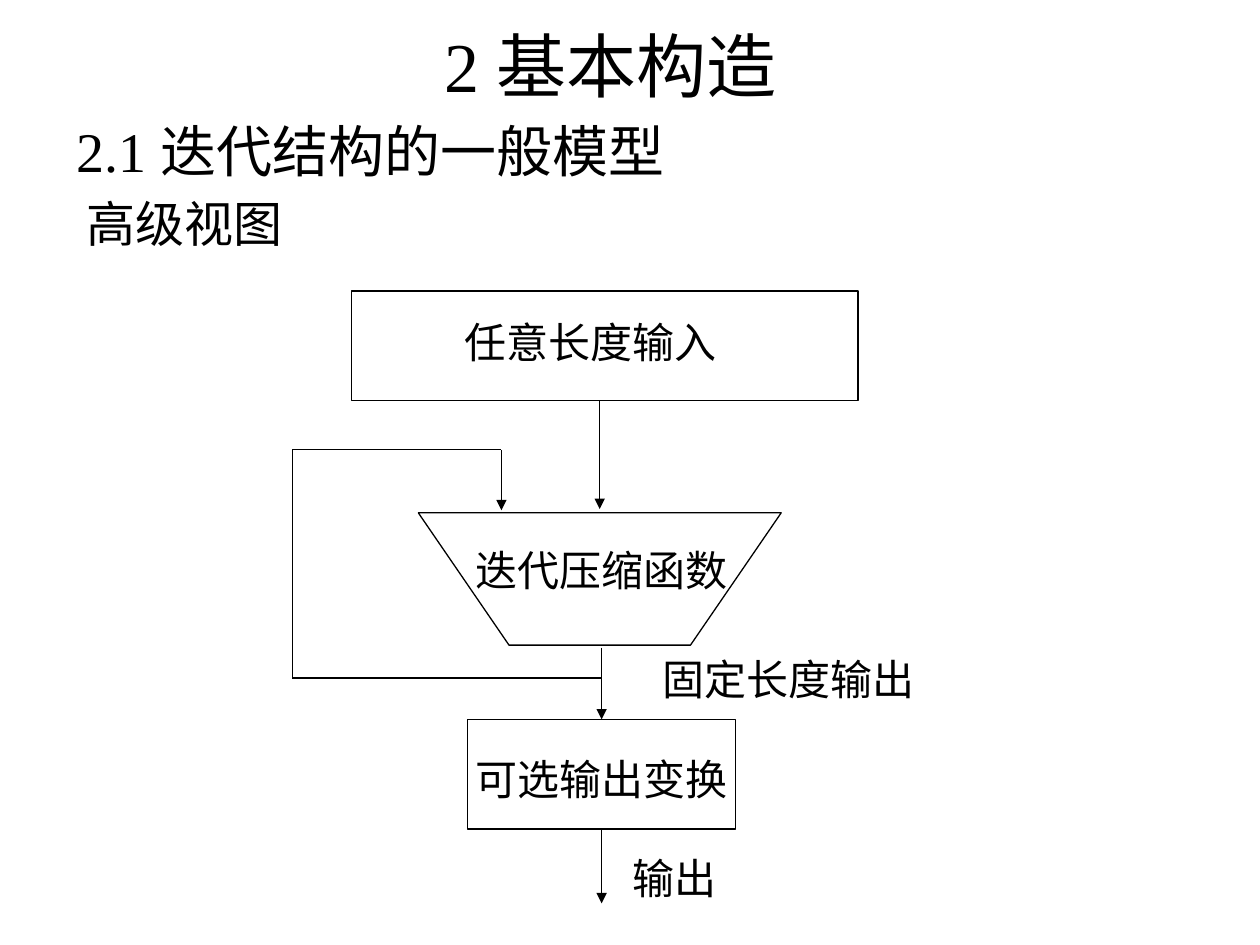
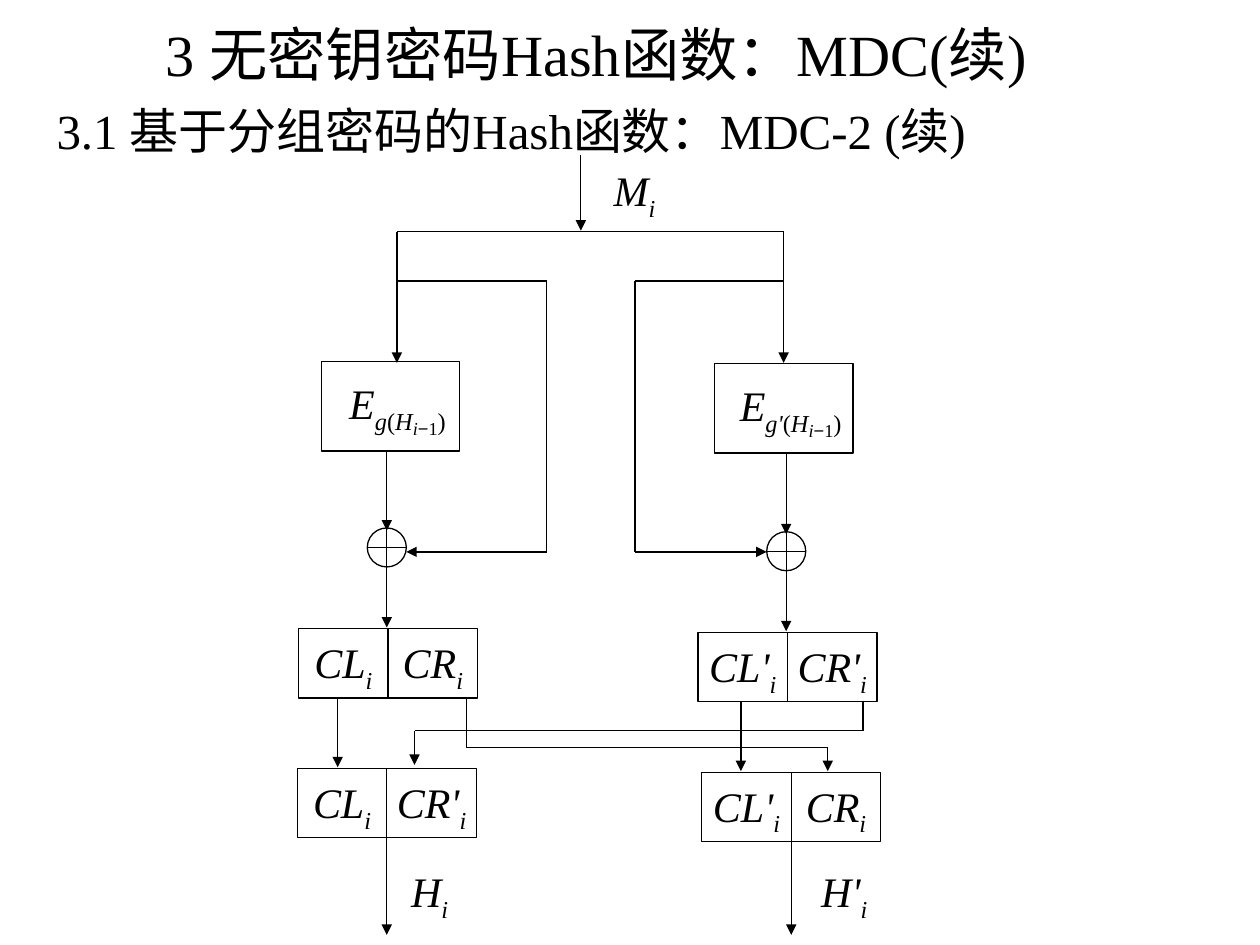
import dataclasses

import lxml.etree
import pptx
import pptx.dml.color
import pptx.enum.shapes
import pptx.enum.text
import pptx.oxml.ns
import pptx.util

SHAPES = pptx.enum.shapes.MSO_SHAPE
ANCHOR = pptx.enum.text.MSO_ANCHOR
ALIGN = pptx.enum.text.PP_ALIGN

# The page is a grid of 100 columns by 75 rows of square cells.
COLUMNS, ROWS = 100, 75
CELL = pptx.util.Inches(0.1)


@dataclasses.dataclass(frozen=True)
class Theme:
    ink: pptx.dml.color.RGBColor = pptx.dml.color.RGBColor(0, 0, 0)
    paper: pptx.dml.color.RGBColor = pptx.dml.color.RGBColor(255, 255, 255)
    font: str = "Times New Roman"
    symbol_font: str = "Arial"
    line: float = 0.75
    title: float = 40
    long_title: float = 33.3
    heading: float = 32
    subheading: float = 28
    label: float = 24
    index: float = 18


THEME = Theme()


@dataclasses.dataclass(frozen=True)
class Box:
    """A region of the page, measured in cells."""
    left: float
    top: float
    width: float
    height: float

    def inner(self, left, top, width, height):
        return Box(self.left + left, self.top + top, width, height)

    def point(self, column, row):
        return cells(self.left + column), cells(self.top + row)

    def frame(self):
        return [cells(n) for n in (self.left, self.top, self.width, self.height)]


@dataclasses.dataclass(frozen=True)
class Lane:
    """Half of MDC-2; columns are relative to the lane's box."""
    box: Box
    prime: str
    feed: float
    cipher: float
    bypass: float
    lower: float
    straight: float
    result: float
    drop: float = 0


def cells(count):
    return round(count * CELL)


# Text
def style_run(span, size, italic=False, baseline=0, font=THEME.font):
    span.font.name = font
    span.font.size = pptx.util.Pt(size)
    span.font.italic = italic
    span.font.color.rgb = THEME.ink
    if baseline:
        span.font._element.set("baseline", str(baseline * 1000))


def add_text(page, box, text, size, anchor=ANCHOR.TOP):
    frame = page.shapes.add_textbox(*box.frame()).text_frame
    frame.word_wrap = True
    frame.vertical_anchor = anchor
    para = frame.paragraphs[0]
    para.text = text
    for span in para.runs:
        style_run(span, size)
    return para


def add_formula(page, box, *parts):
    """One centred line; each part is its text and the options of style_run."""
    frame = page.shapes.add_textbox(*box.frame()).text_frame
    frame.word_wrap = False
    frame.margin_left = frame.margin_right = 0
    para = frame.paragraphs[0]
    para.alignment = ALIGN.CENTER
    for text, options in parts:
        span = para.add_run()
        span.text = text
        style_run(span, **{"size": THEME.label, **options})


def add_variable(page, box, name):
    add_formula(page, box, (name, {"italic": True}),
                ("i", {"italic": True, "baseline": -25}))


def set_title(page, box, text, size):
    title = page.shapes.title
    title.left, title.top, title.width, title.height = box.frame()
    frame = title.text_frame
    frame.text = text
    frame.auto_size = pptx.enum.text.MSO_AUTO_SIZE.NONE
    frame.vertical_anchor = ANCHOR.MIDDLE
    frame.paragraphs[0].alignment = ALIGN.CENTER
    style_run(frame.paragraphs[0].runs[0], size)


def add_subheading(page, box, text, spacing=1.0):
    para = add_text(page, box, text, THEME.subheading)
    para.space_before = pptx.util.Pt(7)
    para.line_spacing = spacing


# Outlines and lines
def outline(shape):
    shape.shadow.inherit = False
    shape.fill.background()
    shape.line.color.rgb = THEME.ink
    shape.line.width = pptx.util.Pt(THEME.line)
    return shape


def add_outline(page, box, kind=SHAPES.RECTANGLE):
    return outline(page.shapes.add_shape(kind, *box.frame()))


def add_route(page, box, *points, arrow=True):
    """Straight lines through the points, with an arrowhead on the last."""
    for start, end in zip(points, points[1:]):
        line = page.shapes.add_connector(
            pptx.enum.shapes.MSO_CONNECTOR.STRAIGHT, *box.point(*start), *box.point(*end))
        line.line.color.rgb = THEME.ink
        line.line.width = pptx.util.Pt(THEME.line)
        lxml.etree.SubElement(line._element.spPr, pptx.oxml.ns.qn("a:effectLst"))
    if arrow:
        lxml.etree.SubElement(line.line._get_or_add_ln(),
                              pptx.oxml.ns.qn("a:tailEnd"), type="triangle")
    return line


# Iterated hash model
def draw_iteration(page, box):
    axis, transform_axis = 24.4, 24.55
    add_outline(page, box.inner(4.7, 0, 40.2, 8.7))
    corners = [box.point(*corner) for corner in
               ((10, 17.6), (17.2, 28.1), (31.6, 28.1), (38.8, 17.6))]
    funnel = page.shapes.build_freeform(*corners[0])
    funnel.add_line_segments(corners[1:], close=True)
    outline(funnel.convert_to_shape())
    transform = add_outline(page, box.inner(transform_axis - 10.65, 34, 21.3, 8.7))

    # Main flow and feedback loop
    add_route(page, box, (axis, 8.7), (axis, 17.3))
    add_route(page, box, (transform_axis, 28.3),
              (transform_axis, 34)).end_connect(transform, 0)
    add_route(page, box, (transform_axis, 42.7),
              (transform_axis, 48.6)).begin_connect(transform, 2)
    add_route(page, box, (transform_axis, 30.7), (0, 30.7), (0, 12.6),
              (16.6, 12.6), (16.6, 17.4))

    for text, left, top, width in (("任意长度输入", 11.1, 1.5, 25.2),
                                   ("迭代压缩函数", 11.9, 19.6, 25.2),
                                   ("固定长度输出", 28.4, 28.3, 22),
                                   ("可选输出变换", 11.9, 36.2, 25.2),
                                   ("输出", 26, 44.1, 8.6)):
        add_formula(page, box.inner(left, top, width, 5), (text, {}))


# MDC-2 halves
def draw_cells(page, box, left, top, names):
    width, height = 7.1, 5.5
    for index, name in enumerate(names):
        cell = box.inner(left + index * width, top, width, height)
        add_outline(page, cell)
        add_variable(page, cell.inner(0, 0.15, width, height), name)


def draw_lane(page, lane):
    box, drop = lane.box, lane.drop
    axis, radius = 7, 1.55
    side = 1 if lane.bypass > axis else -1
    other = "" if lane.prime else "'"

    # Block cipher
    cipher = box.inner(lane.cipher, 10.3 + drop / 2, 11, 7.1)
    add_outline(page, cipher)
    low = {"baseline": -25}
    deep = {"size": THEME.index, "baseline": -50}
    add_formula(page, cipher.inner(0.8, 0.8, 10.5, 5.9),
                ("E", {"italic": True}),
                ("g" + lane.prime, {**low, "italic": True}),
                ("(", low),
                ("H", {**low, "italic": True}),
                ("i", {**deep, "italic": True}),
                ("−", {**deep, "font": THEME.symbol_font}),
                ("1", deep),
                (")", low))

    # Message feed, bypass and exclusive or
    xor_top = 23.5 + drop
    add_outline(page, box.inner(axis - radius, xor_top, 2 * radius, 2 * radius),
                SHAPES.FLOWCHART_OR)
    add_route(page, box, (lane.feed, 0), (lane.feed, 10.4))
    add_route(page, box, (lane.feed, 3.9), (lane.bypass, 3.9), (lane.bypass, 25.4),
              (axis + side * radius, 25.4))
    add_route(page, box, (axis, 17.5), (axis, xor_top + 0.2))
    add_route(page, box, (axis, xor_top + 2 * radius), (axis, 31.4 + drop))

    # Halves before and after the exchange
    draw_cells(page, box, 0, 31.5 + drop, ("CL" + lane.prime, "CR" + lane.prime))
    draw_cells(page, box, lane.lower, 42.6 + drop, ("CL" + lane.prime, "CR" + other))
    add_route(page, box, (lane.straight, 37 + drop), (lane.straight, 42.5 + drop))

    # Result
    exit_column = lane.lower + 7.1
    add_route(page, box, (exit_column, 48.1), (exit_column, 55.8))
    add_variable(page, box.inner(lane.result, 49.8, 5.2, 5.6), "H" + lane.prime)


def draw_mdc2(page, box):
    # Message block
    add_route(page, box, (22.4, -6.1), (22.4, -0.1))
    add_route(page, box, (7.8, 0), (38.5, 0), arrow=False)
    add_variable(page, box.inner(24, -5.8, 5.3, 5.6), "M")

    draw_lane(page, Lane(box, "", feed=7.8, cipher=1.8, bypass=19.7,
                         lower=-0.1, straight=3.1, result=7.8))
    draw_lane(page, Lane(box.inner(31.7, 0, 15, 56), "'", feed=6.8, cipher=1.3,
                         bypass=-5, lower=0.3, straight=3.4, result=9, drop=0.3))

    # Exchange of the right halves
    add_route(page, box, (13.3, 37), (13.3, 40.9), (42, 40.9), (42, 42.8))
    add_route(page, box, (44.8, 37.2), (44.8, 39.6), (9.2, 39.6), (9.2, 42.3))


# Slides
def build_iteration_slide(page):
    set_title(page, Box(25.6, 1.3, 45.7, 7.7), "2 基本构造", THEME.title)
    add_text(page, Box(5.1, 8.4, 51.2, 7.1), "2.1 迭代结构的一般模型",
             THEME.heading, ANCHOR.MIDDLE)
    add_subheading(page, Box(5.9, 15.4, 22.8, 5.6), "高级视图", spacing=0.9)
    draw_iteration(page, Box(23.2, 23.1, 50.4, 49.1))


def build_mdc2_slide(page):
    set_title(page, Box(2, 0.8, 90.6, 6.8), "3 无密钥密码Hash函数：MDC(续)",
              THEME.long_title)
    add_subheading(page, Box(3.5, 7.5, 83.5, 6.4), "3.1 基于分组密码的Hash函数：MDC-2 (续)")
    draw_mdc2(page, Box(23.7, 18.4, 46.3, 56))


def main():
    deck = pptx.Presentation()
    deck.slide_width, deck.slide_height = COLUMNS * CELL, ROWS * CELL
    title_only = deck.slide_layouts[5]
    for build in (build_iteration_slide, build_mdc2_slide):
        page = deck.slides.add_slide(title_only)
        page.background.fill.solid()
        page.background.fill.fore_color.rgb = THEME.paper
        build(page)
    deck.save("out.pptx")


if __name__ == "__main__":
    main()
